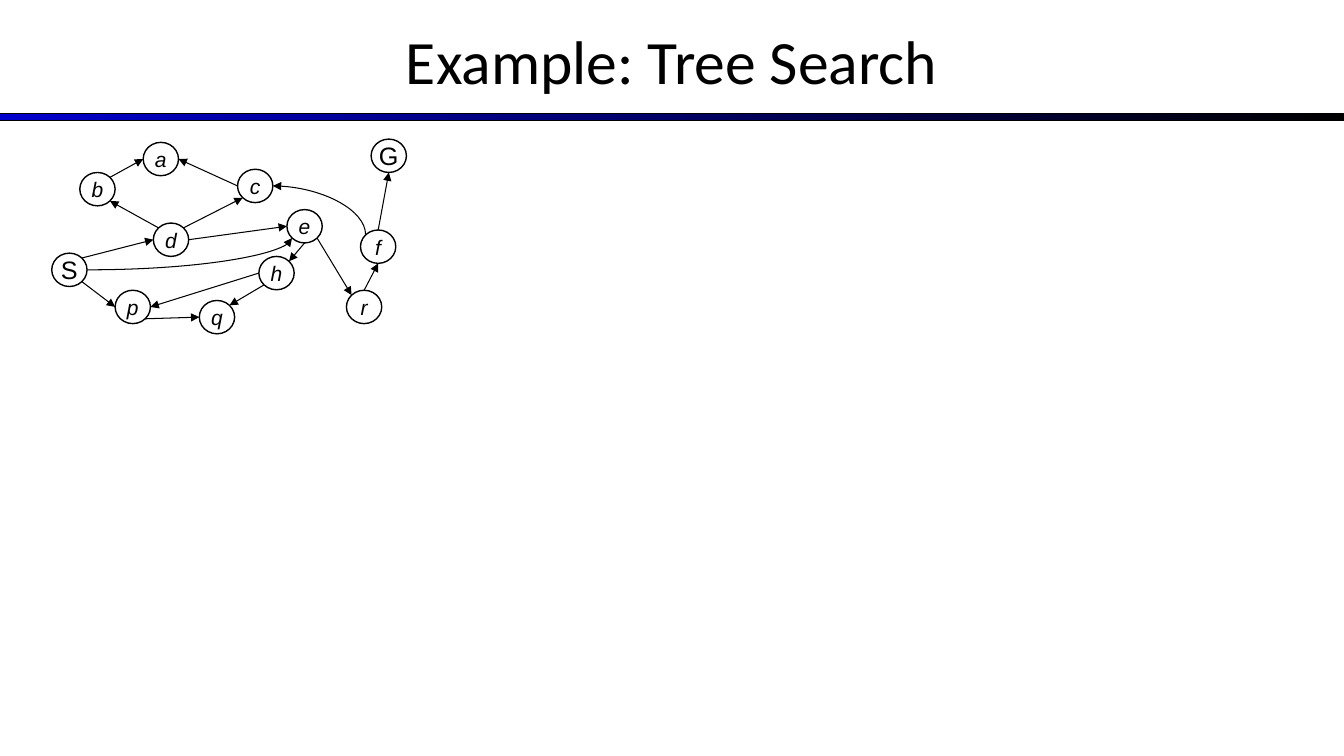
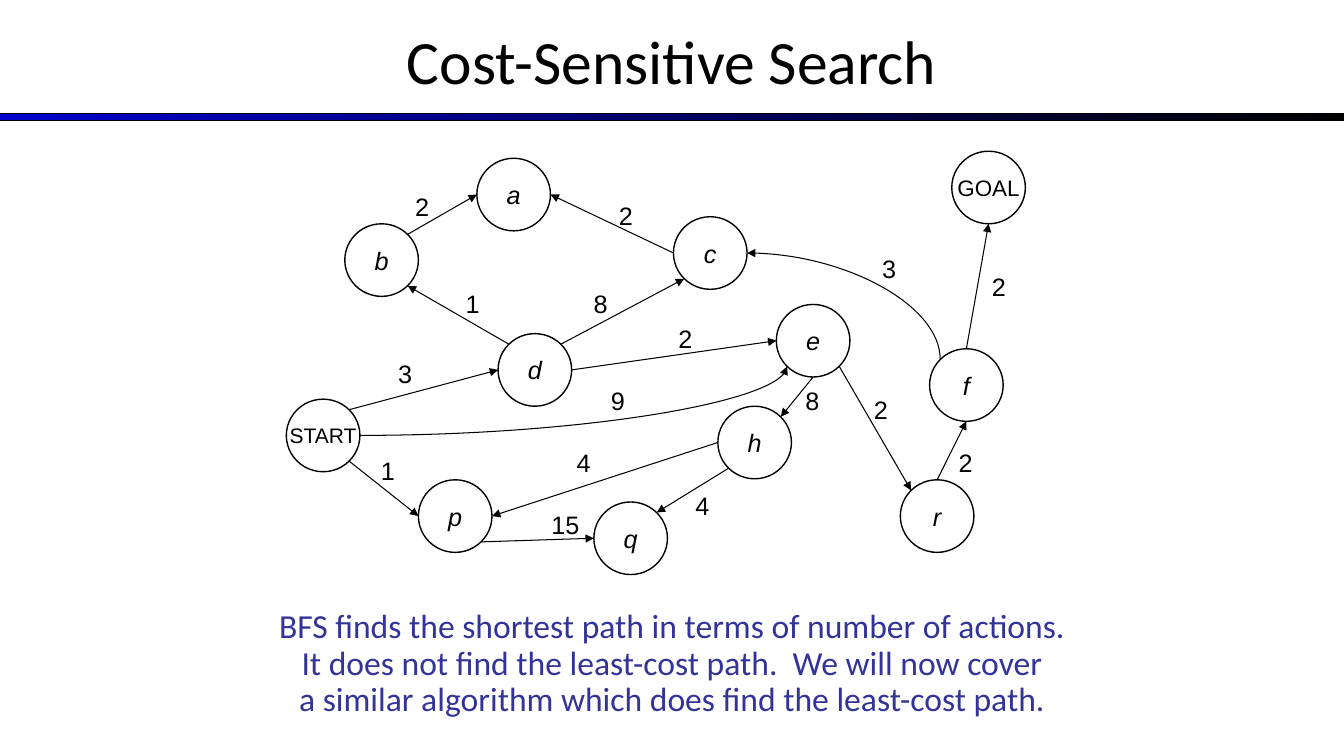
import lxml.etree as etree
import pptx
import pptx.dml.color
import pptx.enum.shapes
import pptx.enum.text
import pptx.oxml.ns
import pptx.util

PX = 9144  # EMU; 100 px to the inch
WIDE, HIGH = 1333, 750
HUES = {"ink": "000000", "blue": "0000CC", "note": "333399"}
SHAPE = pptx.enum.shapes.MSO_SHAPE
ALIGN = pptx.enum.text.PP_ALIGN
MID = pptx.enum.text.MSO_ANCHOR.MIDDLE
TOP = pptx.enum.text.MSO_ANCHOR.TOP

NODE_W, NODE_H = 73, 72
NODES = {  # left, top
    "S": (284, 396), "G": (944, 150), "d": (494, 331), "b": (342, 222),
    "p": (415, 476), "q": (589, 498), "c": (668, 215), "e": (770, 302),
    "h": (712, 403), "a": (473, 157), "f": (922, 346), "r": (893, 476),
}
SIDES = {  # offset from the centre, in radii
    "n": (0, -1), "s": (0, 1), "w": (-1, 0), "e": (1, 0),
    "nw": (-.71, -.71), "ne": (.71, -.71), "sw": (-.71, .71), "se": (.71, .71),
}
EDGES = [  # start, its side, end, its side, cost, place of the cost
    ("S", "se", "p", "w", "1", (368, 447)),
    ("p", "se", "q", "w", "15", (537, 500)),
    ("h", "sw", "q", "ne", "4", (680, 482)),
    ("h", "w", "p", "e", "4", (562, 439)),
    ("e", "s", "h", "ne", "8", (789, 377)),
    ("e", "se", "r", "nw", "2", (857, 386)),
    ("r", "n", "f", "s", "2", (941, 439)),
    ("f", "n", "G", "s", "2", (974, 264)),
    ("S", "ne", "d", "w", "3", (385, 351)),
    ("d", "nw", "b", "se", "1", (452, 281)),
    ("b", "ne", "a", "w", "2", (402, 185)),
    ("c", "w", "a", "e", "2", (604, 194)),
    ("d", "ne", "c", "sw", "8", (579, 281)),
    ("d", "e", "e", "w", "2", (663, 316)),
    ("f", "nw", "c", "e", "3", (865, 246)),
    ("S", "e", "e", "sw", "9", (596, 377)),
]
BENDS = {("f", "c"): "up", ("S", "e"): "across"}  # first heading of a curve

SLIDES = [
    {"title": "Example: Tree Search", "scale": (.48, .46), "shift": (-85, 69),
     "size": 15, "ends": {"S": ("S", 18), "G": ("G", 18)},
     "costs": False, "note": []},
    {"title": "Cost-Sensitive Search", "scale": (1, 1), "shift": (0, 0),
     "size": 18, "ends": {"S": ("START", 15), "G": ("GOAL", 16)},
     "costs": True,
     "note": ["BFS finds the shortest path in terms of number of actions.",
              "It does not find the least-cost path.  We will now cover",
              "a similar algorithm which does find the least-cost path."]},
]


def emu(*vals):
    return [round(v * PX) for v in vals]


def rgb(name):
    return pptx.dml.color.RGBColor.from_string(HUES[name])


def write(shape, lines, size, font="Arial", hue="ink", italic=False,
          align=ALIGN.CENTER, anchor=MID, wrap=False, lead=None):
    frame = shape.text_frame
    frame.text = "\n".join(lines)
    look = {"word_wrap": wrap, "vertical_anchor": anchor,
            "margin_left": 10 * PX, "margin_right": 10 * PX,
            "margin_top": 5 * PX, "margin_bottom": 5 * PX}
    for key, val in look.items():
        setattr(frame, key, val)
    face = {"name": font, "size": pptx.util.Pt(size), "italic": italic}
    for para in frame.paragraphs:
        para.alignment = align
        if lead:
            para.line_spacing = lead
        for run in para.runs:
            for key, val in face.items():
                setattr(run.font, key, val)
            run.font.color.rgb = rgb(hue)


def stroke(shape, width):
    shape.line.color.rgb = rgb("ink")
    shape.line.width = pptx.util.Pt(width)


def add_tag(parent, tag, **attrs):
    return etree.SubElement(parent, pptx.oxml.ns.qn(tag), attrs)


def add_head(shape):
    """Put an arrowhead at the end of the line."""
    edge = shape._element.spPr.find(pptx.oxml.ns.qn("a:ln"))
    add_tag(edge, "a:tailEnd", type="triangle")


def add_arrow(shapes, start, end):
    kind = pptx.enum.shapes.MSO_CONNECTOR.STRAIGHT
    line = shapes.add_connector(kind, *emu(*start, *end))
    stroke(line, .75)
    add_head(line)
    add_tag(line._element.spPr, "a:effectLst")


def add_curve(shapes, start, end, bend):
    """Draw a quarter bend as one Bezier segment with an arrowhead."""
    pen = shapes.build_freeform(*emu(*start))
    pen.add_line_segments([emu(*end)], close=False)
    curve = pen.convert_to_shape()
    curve.shadow.inherit = False
    curve.fill.background()
    stroke(curve, .75)
    add_head(curve)
    root = curve._element
    (ax, ay), (bx, by) = [(int(pt.get("x")), int(pt.get("y")))
                          for pt in root.iter(pptx.oxml.ns.qn("a:pt"))]
    kx, ky = (ax, by) if bend == "up" else (bx, ay)
    seg = next(root.iter(pptx.oxml.ns.qn("a:lnTo")))
    cubic = etree.Element(pptx.oxml.ns.qn("a:cubicBezTo"))
    for x, y in [((ax + kx) // 2, (ay + ky) // 2),
                 ((kx + bx) // 2, (ky + by) // 2), (bx, by)]:
        add_tag(cubic, "a:pt", x=str(x), y=str(y))
    seg.getparent().replace(seg, cubic)


def add_graph(slide, data):
    shapes = slide.shapes.add_group_shape().shapes
    (sx, sy), (dx, dy) = data["scale"], data["shift"]

    def place(x, y):
        return x * sx + dx, y * sy + dy

    def dock(name, side):
        left, top = NODES[name]
        ux, uy = SIDES[side]
        return place(left + NODE_W / 2 * (1 + ux), top + NODE_H / 2 * (1 + uy))

    for name, spot in NODES.items():
        node = shapes.add_shape(SHAPE.FLOWCHART_CONNECTOR,
                                *emu(*place(*spot), NODE_W * sx, NODE_H * sy))
        node.shadow.inherit = False
        node.fill.background()
        stroke(node, 1)
        text, size = data["ends"].get(name, (name, data["size"]))
        write(node, [text], size, italic=name not in data["ends"])

    for tail, out, head, into, cost, spot in EDGES:
        start, end = dock(tail, out), dock(head, into)
        bend = BENDS.get((tail, head))
        if bend:
            add_curve(shapes, start, end, bend)
        else:
            add_arrow(shapes, start, end)
        if data["costs"]:
            box = shapes.add_textbox(*emu(*spot, 17 + 17 * len(cost), 40))
            write(box, [cost], 18, align=ALIGN.LEFT, anchor=TOP)


def add_frame(slide, text):
    """Set the title and the graded bar below it."""
    bar = slide.shapes.add_shape(SHAPE.RECTANGLE, *emu(0, 113, WIDE, 7))
    bar.shadow.inherit = False
    bar.fill.gradient()
    bar.fill.gradient_angle = 0
    for stop, hue, pos in zip(bar.fill.gradient_stops, ("blue", "ink"), (0, 1)):
        stop.color.rgb = rgb(hue)
        stop.position = pos
    stroke(bar, .75)
    title = slide.shapes.title
    title.left, title.top, title.width, title.height = emu(0, -3, WIDE, 125)
    write(title, [text], 44, "Calibri", wrap=True)


def main():
    deck = pptx.Presentation()
    deck.slide_width, deck.slide_height = emu(WIDE, HIGH)
    for data in SLIDES:
        slide = deck.slides.add_slide(deck.slide_layouts[5])
        add_frame(slide, data["title"])
        if data["note"]:
            box = slide.shapes.add_textbox(*emu(0, 600, WIDE, 134))
            write(box, data["note"], 24, "Calibri", "note",
                  anchor=TOP, wrap=True, lead=.9)
        add_graph(slide, data)
    deck.save("out.pptx")


if __name__ == "__main__":
    main()
